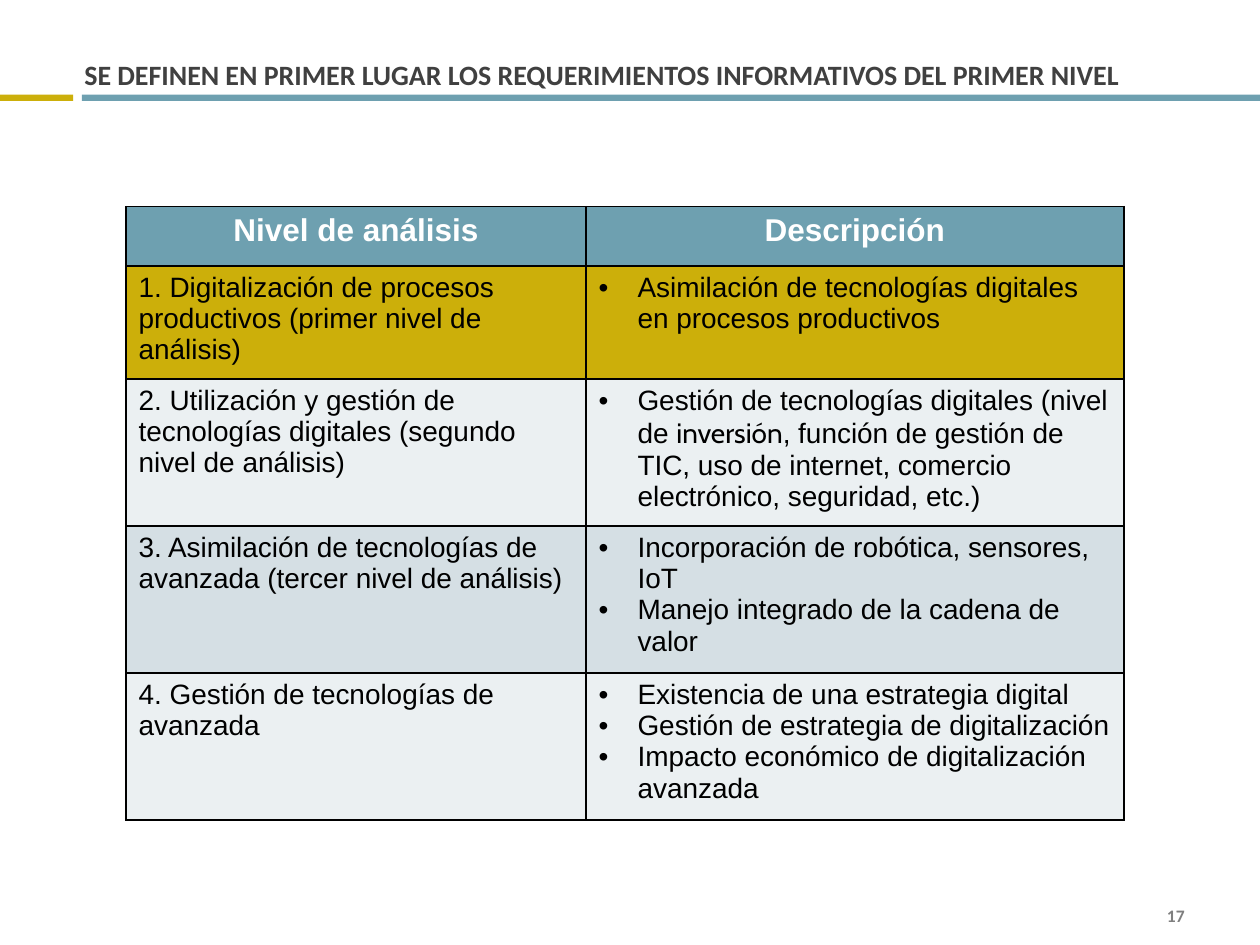
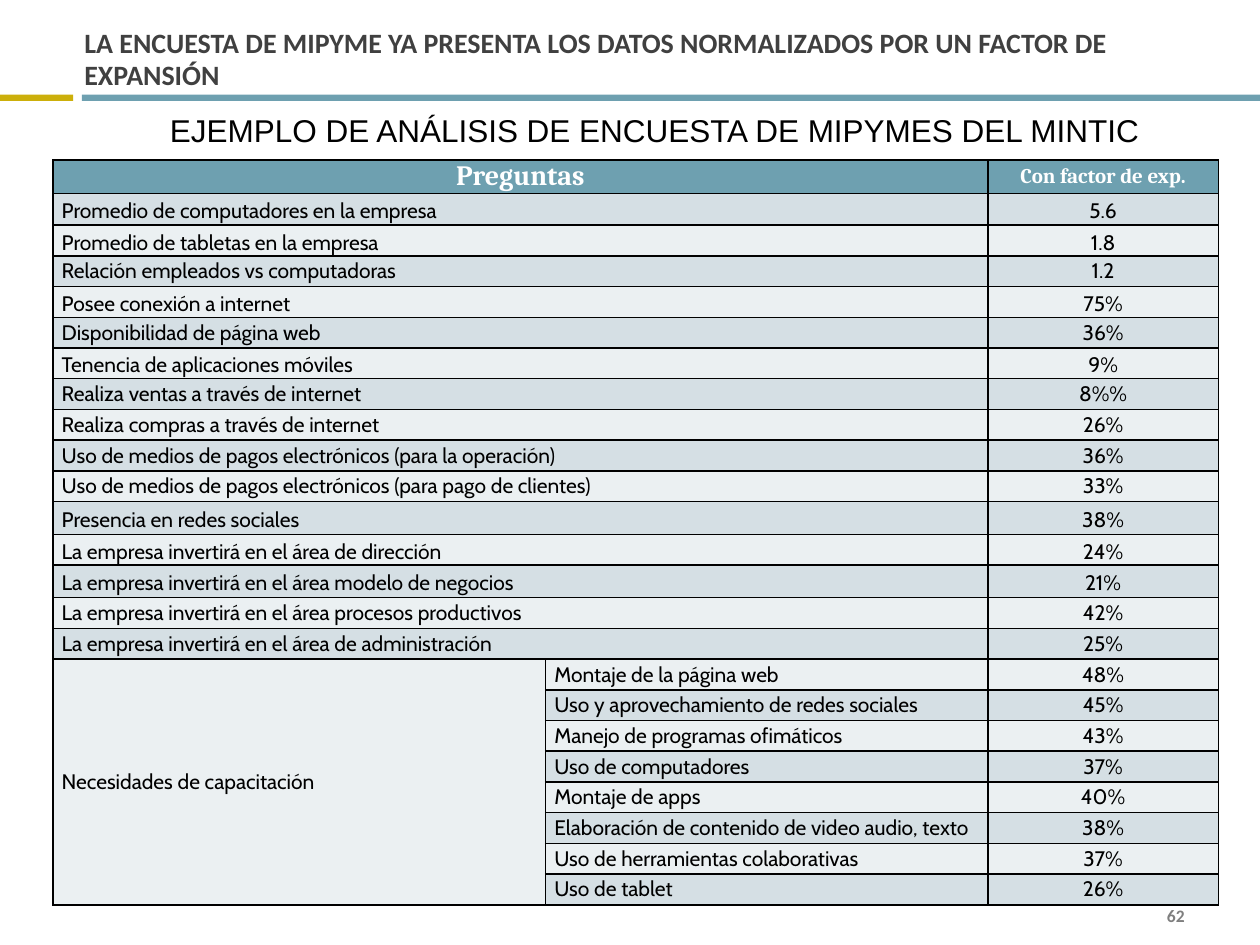
from dataclasses import dataclass

import pptx
import pptx.dml.color
import pptx.enum.shapes
import pptx.enum.text
import pptx.oxml
import pptx.oxml.ns
import pptx.util

Inches = pptx.util.Inches
Pt = pptx.util.Pt
Align = pptx.enum.text.PP_ALIGN
Anchor = pptx.enum.text.MSO_ANCHOR


@dataclass(frozen=True)
class Theme:
    teal: str = "6EA0B0"
    gold: str = "CCAF0A"
    light: str = "EBF0F2"
    shade: str = "D5DFE4"
    black: str = "000000"
    white: str = "FFFFFF"
    title: str = "404040"
    number: str = "7F7F7F"
    heading_font: str = "Calibri"
    body_font: str = "Arial"
    survey_font: str = "Cabin"
    survey_head_font: str = "Cambria"
    large: int = 18
    medium: int = 16
    small: int = 12
    tiny: int = 10


LEVELS = [
    ("1. Digitalización de procesos productivos (primer nivel de análisis)",
     [["Asimilación de tecnologías digitales en procesos productivos"]]),
    ("2. Utilización y gestión de tecnologías digitales (segundo nivel de análisis)",
     [["Gestión de tecnologías digitales (nivel de ", "inversión",
       ", función de gestión de TIC, uso de internet, comercio electrónico, seguridad, etc.)"]]),
    ("3. Asimilación de tecnologías de avanzada (tercer nivel de análisis)",
     [["Incorporación de robótica, sensores, IoT"],
      ["Manejo integrado de la cadena de valor"]]),
    ("4. Gestión de tecnologías de avanzada",
     [["Existencia de una estrategia digital"],
      ["Gestión de estrategia de digitalización"],
      ["Impacto económico de digitalización avanzada"]]),
]

QUESTIONS = [
    ("Promedio de computadores en la empresa", "5.6"),
    ("Promedio de tabletas en la empresa", "1.8"),
    ("Relación empleados vs computadoras", "1.2"),
    ("Posee conexión a internet", "75%"),
    ("Disponibilidad de página web", "36%"),
    ("Tenencia de aplicaciones móviles", "9%"),
    ("Realiza ventas a través de internet", "8%%"),
    ("Realiza compras a través de internet", "26%"),
    ("Uso de medios de pagos electrónicos (para la operación)", "36%"),
    ("Uso de medios de pagos electrónicos (para pago de clientes)", "33%"),
    ("Presencia en redes sociales", "38%"),
    ("La empresa invertirá en el área de dirección", "24%"),
    ("La empresa invertirá en el área modelo de negocios", "21%"),
    ("La empresa invertirá en el área procesos productivos", "42%"),
    ("La empresa invertirá en el área de administración", "25%"),
]

TRAINING = [
    ("Montaje de la página web", "48%"),
    ("Uso y aprovechamiento de redes sociales", "45%"),
    ("Manejo de programas ofimáticos", "43%"),
    ("Uso de computadores", "37%"),
    ("Montaje de apps", "40%"),
    ("Elaboración de contenido de video audio, texto", "38%"),
    ("Uso de herramientas colaborativas", "37%"),
    ("Uso de tablet", "26%"),
]

LOOSE_ROWS = {1, 2, 4, 6, 11, 12, 13}
TALL_ROWS = {1: 0.25, 11: 0.26, 13: 0.26}


class Deck:
    def __init__(self, theme):
        self.theme = theme
        self.prs = pptx.Presentation()
        self.prs.slide_width = Inches(10)
        self.prs.slide_height = Inches(7.5)
        self.slide = None

    def new_slide(self, title, number):
        t = self.theme
        self.slide = self.prs.slides.add_slide(self.prs.slide_layouts[6])
        self.band(0, 0.58, t.gold)
        self.band(0.65, 9.35, t.teal)
        tf = self.textbox(0.67, 0.08, 9, 0.67, (0, 0.05, 0, 0.03), Anchor.BOTTOM)
        p = tf.paragraphs[0]
        p.line_spacing = Pt(18)
        self.run(p, title, t.heading_font, t.medium, t.title, True)
        tf = self.textbox(7.17, 7.17, 2.33, 0.2, (0.1, 0.05, 0.1, 0.05), Anchor.MIDDLE)
        p = tf.paragraphs[0]
        p.alignment = Align.RIGHT
        self.run(p, number, t.heading_font, t.tiny, t.number, True)

    def band(self, left, width, color):
        sp = self.slide.shapes.add_shape(
            pptx.enum.shapes.MSO_SHAPE.RECTANGLE,
            Inches(left), Inches(0.75), Inches(width), Inches(0.05))
        sp.shadow.inherit = False
        self.paint(sp.fill, color)
        sp.line.fill.background()

    def textbox(self, left, top, width, height, insets, anchor, wrap=True):
        sp = self.slide.shapes.add_textbox(
            Inches(left), Inches(top), Inches(width), Inches(height))
        tf = sp.text_frame
        tf.word_wrap = wrap
        tf.vertical_anchor = anchor
        self.margins(tf, insets)
        return tf

    def margins(self, holder, insets):
        (holder.margin_left, holder.margin_top,
         holder.margin_right, holder.margin_bottom) = map(Inches, insets)

    def paint(self, fill, color):
        fill.solid()
        fill.fore_color.rgb = pptx.dml.color.RGBColor.from_string(color)

    def run(self, p, text, font, size, color, bold=False):
        r = p.add_run()
        r.text = text
        r.font.name = font
        r.font.size = Pt(size)
        r.font.bold = bold
        r.font.color.rgb = pptx.dml.color.RGBColor.from_string(color)

    def bullet(self, p):
        pPr = p._p.get_or_add_pPr()
        pPr.set("marL", str(Inches(0.31)))
        pPr.set("indent", str(-Inches(0.31)))
        ns = pptx.oxml.ns.nsdecls("a")
        pPr.append(pptx.oxml.parse_xml(f'<a:buFont {ns} typeface="Arial"/>'))
        pPr.append(pptx.oxml.parse_xml(f'<a:buChar {ns} char="•"/>'))

    def table(self, left, top, widths, heights, fills, insets, anchor):
        frame = self.slide.shapes.add_table(
            len(heights), len(widths), Inches(left), Inches(top),
            Inches(sum(widths)), Inches(sum(heights)))
        table = frame.table
        for column, width in zip(table.columns, widths):
            column.width = Inches(width)
        for row, height, color in zip(table.rows, heights, fills):
            row.height = Inches(height)
            for cell in row.cells:
                self.margins(cell, insets)
                cell.vertical_anchor = anchor
                self.borders(cell)
                self.paint(cell.fill, color)
        return table

    def borders(self, cell):
        tcPr = cell._tc.get_or_add_tcPr()
        for side in "LRTB":
            tcPr.append(pptx.oxml.parse_xml(
                f'<a:ln{side} {pptx.oxml.ns.nsdecls("a")} w="{Pt(1)}"><a:solidFill>'
                f'<a:srgbClr val="{self.theme.black}"/></a:solidFill></a:ln{side}>'))

    def cell_text(self, cell, text, font, size, color, bold=False, center=False, spacing=None):
        p = cell.text_frame.paragraphs[0]
        if center:
            p.alignment = Align.CENTER
        if spacing:
            p.line_spacing = spacing
        self.run(p, text, font, size, color, bold)

    def cell_bullets(self, cell, items):
        t = self.theme
        tf = cell.text_frame
        for i, parts in enumerate(items):
            p = tf.add_paragraph() if i else tf.paragraphs[0]
            self.bullet(p)
            for j, part in enumerate(parts):
                self.run(p, part, t.survey_font if j == 1 else t.body_font, t.medium, t.black)


def levels_slide(deck):
    t = deck.theme
    deck.new_slide("SE DEFINEN EN PRIMER LUGAR LOS REQUERIMIENTOS INFORMATIVOS DEL PRIMER NIVEL", "17")
    table = deck.table(1, 1.64, [3.65, 4.27], [0.47, 0.84, 1.16, 1.15, 1.15],
                       [t.teal, t.gold, t.light, t.shade, t.light],
                       (0.1, 0.05, 0.1, 0.05), Anchor.TOP)
    for col, text in enumerate(["Nivel de análisis", "Descripción"]):
        deck.cell_text(table.cell(0, col), text, t.body_font, t.large, t.white, True, True)
    for row, (level, items) in enumerate(LEVELS, 1):
        deck.cell_text(table.cell(row, 0), level, t.body_font, t.medium, t.black)
        deck.cell_bullets(table.cell(row, 1), items)


def survey_slide(deck):
    t = deck.theme
    deck.new_slide("LA ENCUESTA DE MIPYME YA PRESENTA LOS DATOS NORMALIZADOS POR UN FACTOR DE EXPANSIÓN", "62")
    rows = QUESTIONS + TRAINING
    first_training = len(QUESTIONS) + 1
    header = 0.25
    regular = (5.9 - header - sum(TALL_ROWS.values())) / (len(rows) - len(TALL_ROWS))
    heights = [header] + [TALL_ROWS.get(i, regular) for i in range(1, len(rows) + 1)]
    fills = [t.teal] + [t.shade if i % 2 else t.light for i in range(1, len(rows) + 1)]
    table = deck.table(0.42, 1.27, [3.91, 3.51, 1.83], heights, fills,
                       (0.07, 0, 0.07, 0), Anchor.MIDDLE)
    for row in range(first_training):
        table.cell(row, 0).merge(table.cell(row, 1))
    table.cell(first_training, 0).merge(table.cell(len(rows), 0))
    deck.cell_text(table.cell(0, 0), "Preguntas", t.survey_head_font, t.medium, t.white, True, True)
    deck.cell_text(table.cell(0, 2), "Con factor de exp.", t.survey_head_font, t.small, t.white, True, True)
    style = (t.survey_font, t.small, t.black)
    deck.cell_text(table.cell(first_training, 0), "Necesidades de capacitación", *style)
    for row, (question, value) in enumerate(rows, 1):
        spacing = 1.15 if row in LOOSE_ROWS else None
        col = 1 if row >= first_training else 0
        deck.cell_text(table.cell(row, col), question, *style, spacing=spacing)
        deck.cell_text(table.cell(row, 2), value, *style, center=True, spacing=spacing)
    tf = deck.textbox(1.25, 0.83, 7.97, 0.4, (0.1, 0.05, 0.1, 0.05), Anchor.TOP, wrap=False)
    deck.run(tf.paragraphs[0], "EJEMPLO DE ANÁLISIS DE ENCUESTA DE MIPYMES DEL MINTIC",
             t.body_font, t.large, t.black)


def main():
    deck = Deck(Theme())
    levels_slide(deck)
    survey_slide(deck)
    deck.prs.save("out.pptx")


if __name__ == "__main__":
    main()
